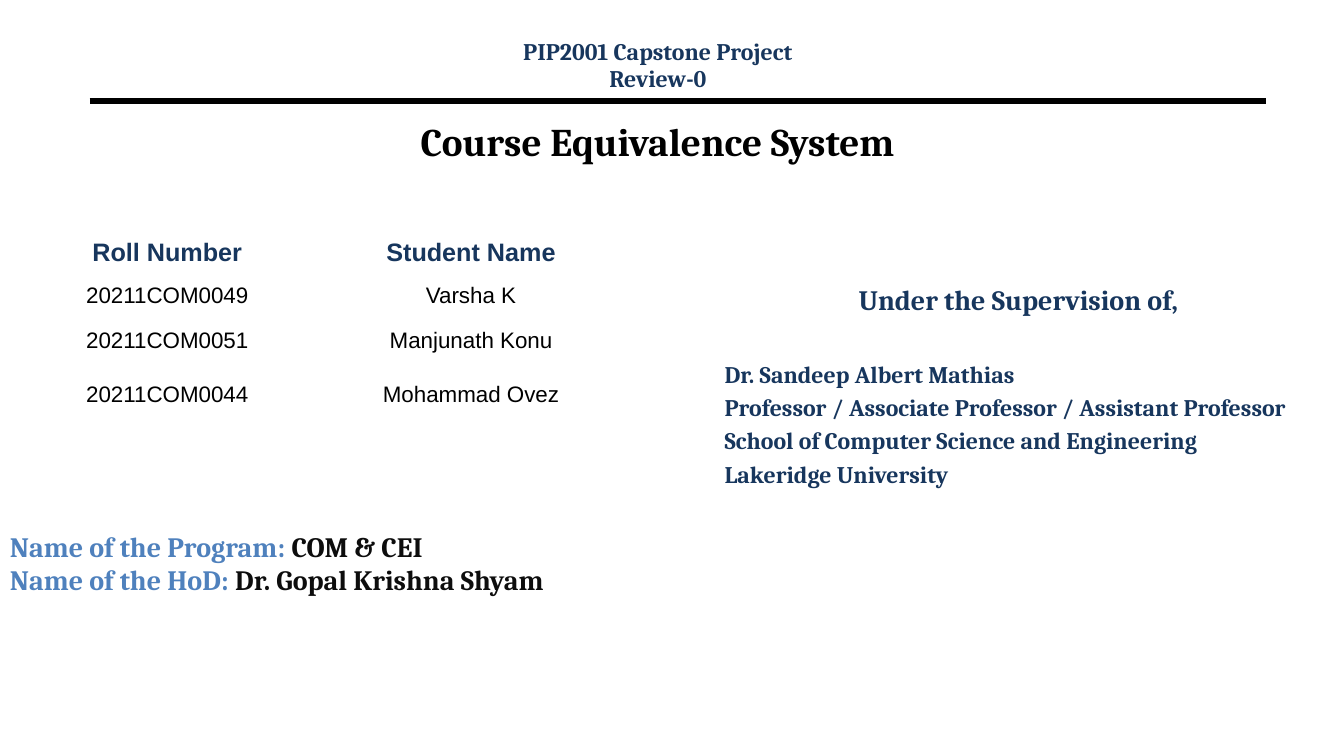
from lxml import etree
from pptx import Presentation
from pptx.dml.color import RGBColor
from pptx.enum.shapes import MSO_CONNECTOR
from pptx.enum.text import MSO_ANCHOR, PP_ALIGN
from pptx.oxml.ns import qn
from pptx.util import Cm, Pt

LEFT, CENTER = PP_ALIGN.LEFT, PP_ALIGN.CENTER
TOP, MIDDLE = MSO_ANCHOR.TOP, MSO_ANCHOR.MIDDLE
STRAIGHT = MSO_CONNECTOR.STRAIGHT
COLORS = {"black": "000000", "navy": "17365D", "blue": "4F81BD", "ink": "0D0D0D"}
STUDENTS = [
    ("Roll Number", "Student Name"),
    ("20211COM0049", "Varsha K"),
    ("20211COM0051", "Manjunath Konu"),
    ("20211COM0044", "Mohammad Ovez"),
    ("", ""),
    ("", ""),
]
COLUMN_WIDTHS = (5.89, 9.42)
ROW_HEIGHTS = (1.04, 1.14, 1.14, 1.6, 2.13, 1.04)
SUPERVISOR = [
    "Dr. Sandeep Albert Mathias",
    "Professor / Associate Professor / Assistant Professor",
    "School of Computer Science and Engineering",
    "Lakeridge University",
]
PROGRAM = [
    ("Name of the Program: ", "COM & CEI"),
    ("Name of the HoD: ", "Dr. Gopal Krishna Shyam"),
]


def add_run(paragraph, text, size, color, font="Cambria", bold=True):
    """Append one formatted run to a paragraph."""
    run = paragraph.add_run()
    run.text = text
    run.font.name = font
    run.font.size = Pt(size)
    run.font.bold = bold
    run.font.color.rgb = RGBColor.from_string(COLORS[color])


def add_text(slide, box, lines, anchor=TOP):
    """Add a text box from lines of (runs, alignment, space before, line spacing)."""
    frame = slide.shapes.add_textbox(*map(Cm, box)).text_frame
    frame.word_wrap = True
    frame.vertical_anchor = anchor
    for index, (runs, alignment, before, spacing) in enumerate(lines):
        paragraph = frame.add_paragraph() if index else frame.paragraphs[0]
        paragraph.alignment = alignment
        paragraph.space_before = Pt(before)
        paragraph.line_spacing = spacing
        for run in runs:
            add_run(paragraph, *run)


def add_rule(slide, left, right, y, weight):
    """Draw the horizontal rule under the header."""
    rule = slide.shapes.add_connector(STRAIGHT, Cm(left), Cm(y), Cm(right), Cm(y))
    rule.line.width = Pt(weight)
    rule.line.color.rgb = RGBColor.from_string(COLORS["black"])
    etree.SubElement(rule._element.spPr, qn("a:effectLst"))


def add_students(slide, left, top):
    """Add the unfilled table of students."""
    table = slide.shapes.add_table(
        len(ROW_HEIGHTS), len(COLUMN_WIDTHS), Cm(left), Cm(top),
        Cm(sum(COLUMN_WIDTHS)), Cm(sum(ROW_HEIGHTS))).table
    table.first_row = table.horz_banding = False
    for column, width in zip(table.columns, COLUMN_WIDTHS):
        column.width = Cm(width)
    for index, (row, height, values) in enumerate(zip(table.rows, ROW_HEIGHTS, STUDENTS)):
        row.height = Cm(height)
        size, color, bold = (16, "black", False) if index else (18, "navy", True)
        for cell, value in zip(row.cells, values):
            cell.fill.background()
            cell.vertical_anchor = MIDDLE
            paragraph = cell.text_frame.paragraphs[0]
            paragraph.alignment = CENTER
            if value:
                add_run(paragraph, value, size, color, "Arial", bold)


def main():
    """Build and save the title slide."""
    deck = Presentation()
    deck.slide_width, deck.slide_height = Cm(33.87), Cm(19.05)
    slide = deck.slides.add_slide(deck.slide_layouts[6])
    add_rule(slide, 2.26, 31.9, 2.54, 4.5)
    add_text(slide, (2.18, 2.59, 28.78, 1.93),
             [([("Course Equivalence System", 28, "black")], CENTER, 0, 1)], MIDDLE)
    add_students(slide, 1.27, 5.84)
    supervision = [([("Under the Supervision of,", 20, "navy")], CENTER, 0, 1)]
    supervision += [([(line, 17, "navy")], LEFT, 3.4 if index else 31, 1)
                    for index, line in enumerate(SUPERVISOR)]
    add_text(slide, (18.01, 6.99, 15.32, 5.61), supervision)
    add_text(slide, (11.07, 0.94, 11.02, 1.52), [
        ([("PIP2001 Capstone Project", 17, "navy")], CENTER, 0, 0.8),
        ([("Review-0", 17, "navy")], CENTER, 3.1, 0.8),
    ])
    add_text(slide, (0, 13.21, 33.87, 4.04), [
        ([(label, 20, "blue"), (value, 20, "ink")], LEFT, 0, 1) for label, value in PROGRAM
    ])
    deck.save("out.pptx")


if __name__ == "__main__":
    main()
